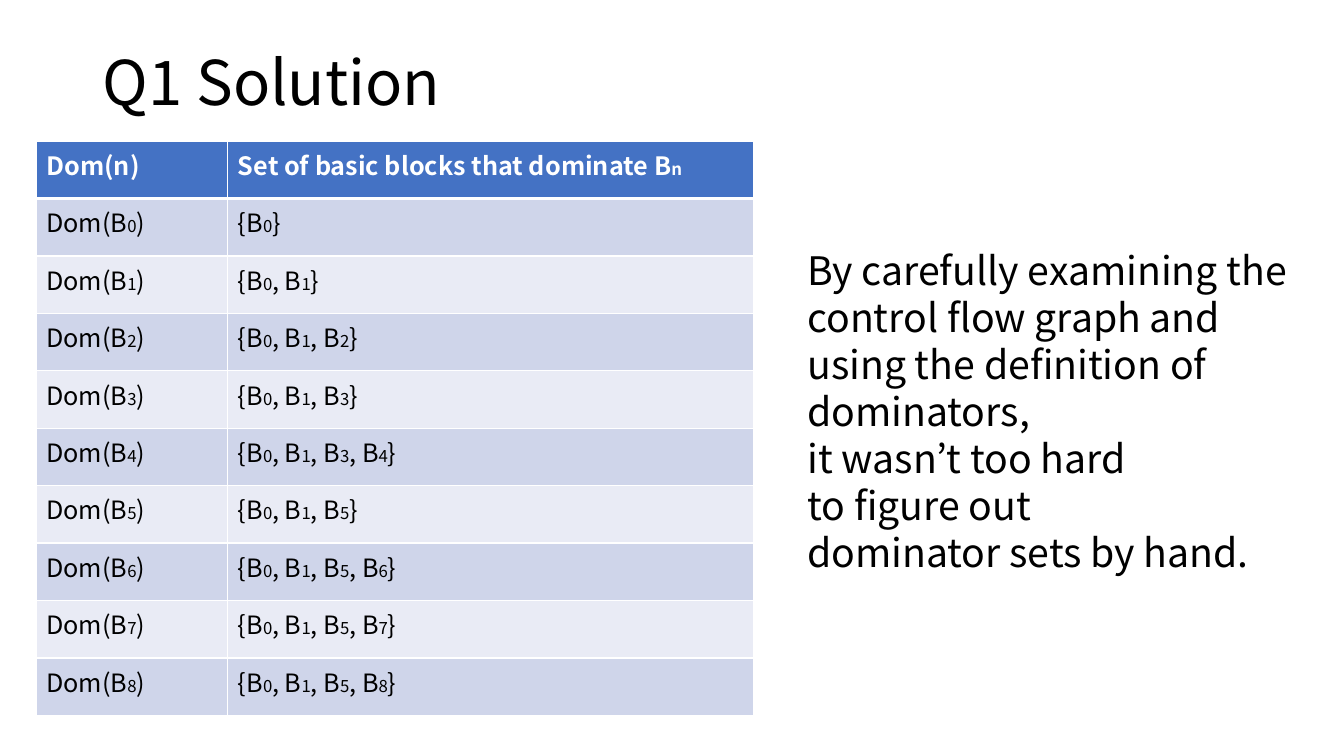
from lxml import etree
from pptx import Presentation, util as u
from pptx.dml.color import RGBColor
from pptx.enum import text
from pptx.oxml import ns

BLACK = RGBColor(0x00, 0x00, 0x00)
WHITE = RGBColor(0xFF, 0xFF, 0xFF)
BLUE = RGBColor(0x44, 0x72, 0xC4)
BANDS = (RGBColor(0xCF, 0xD5, 0xEA), RGBColor(0xE9, 0xEB, 0xF5))
HEADER = ("Dom(n)", "Set of basic blocks that dominate B|n|")
DOMINATORS = ("0", "01", "012", "013", "0134", "015", "0156", "0157", "0158")
COMMENT = (
    "By carefully examining the control flow graph and using the definition of dominators,\n"
    "it wasn’t too hard\nto figure out\ndominator sets by hand."
)


class DominatorSlide:
    """Hold the text style and the page, and add titles, text and tables."""

    font = "Noto Sans CJK KR"
    subscript_size = 12

    def __init__(self, deck):
        self.page = deck.slides.add_slide(deck.slide_layouts[6])

    def add_words(self, para, words, size, color=BLACK, bold=False):
        for index, piece in enumerate(words.split("|")):
            points = self.subscript_size if index % 2 else size
            style = {"name": self.font, "size": u.Pt(points), "bold": bold}
            for number, line in enumerate(piece.split("\n")):
                if number:
                    para.add_line_break()
                if not line:
                    continue
                span = para.add_run()
                span.text = line
                for name, value in style.items():
                    setattr(span.font, name, value)
                span.font.color.rgb = color

    def add_text(self, words, place, size, anchor=text.MSO_ANCHOR.TOP, spacing=None):
        box = self.page.shapes.add_textbox(*map(u.Inches, place))
        frame = box.text_frame
        for name, value in {"word_wrap": True, "vertical_anchor": anchor}.items():
            setattr(frame, name, value)
        para = frame.paragraphs[0]
        para.line_spacing = spacing
        self.add_words(para, words, size)

    def add_border(self, cell, side, points):
        edge = etree.SubElement(cell._tc.get_or_add_tcPr(), ns.qn(f"a:ln{side}"), w=str(u.Pt(points)))
        fill = etree.SubElement(edge, ns.qn("a:solidFill"))
        etree.SubElement(fill, ns.qn("a:srgbClr"), val=str(WHITE))

    def add_table(self, rows, left, top, widths, row_height):
        size = (sum(widths), row_height * len(rows))
        frame = self.page.shapes.add_table(
            len(rows), len(widths), *map(u.Inches, (left, top, *size))
        )
        grid = frame.table
        for column, width in zip(grid.columns, widths):
            column.width = u.Inches(width)
        for row, words in enumerate(rows):
            grid.rows[row].height = u.Inches(row_height)
            for column, entry in enumerate(words):
                cell = grid.cell(row, column)
                heavy = {"T": row == 1, "B": row == 0}
                for side in "LRTB":
                    self.add_border(cell, side, 3 if heavy.get(side) else 1)
                cell.fill.solid()
                cell.fill.fore_color.rgb = BANDS[(row - 1) % 2] if row else BLUE
                self.add_words(cell.text_frame.paragraphs[0], entry, 18,
                               BLACK if row else WHITE, row == 0)


def main():
    deck = Presentation()
    deck.slide_width, deck.slide_height = u.Inches(13.33), u.Inches(7.5)
    slide = DominatorSlide(deck)
    slide.add_text("Q1 Solution", (0.92, 0.12, 11.5, 1.45), 44, text.MSO_ANCHOR.MIDDLE, 0.9)
    rows = [HEADER]
    for block, members in enumerate(DOMINATORS):
        blocks = ", ".join(f"B|{member}|" for member in members)
        rows.append((f"Dom(B|{block}|)", f"{{{blocks}}}"))
    slide.add_table(rows, 0.36, 1.4, (1.9, 5.21), 0.57)
    slide.add_text(COMMENT, (7.91, 2.39, 5.03, 3.4), 28)
    deck.save("out.pptx")


if __name__ == "__main__":
    main()
